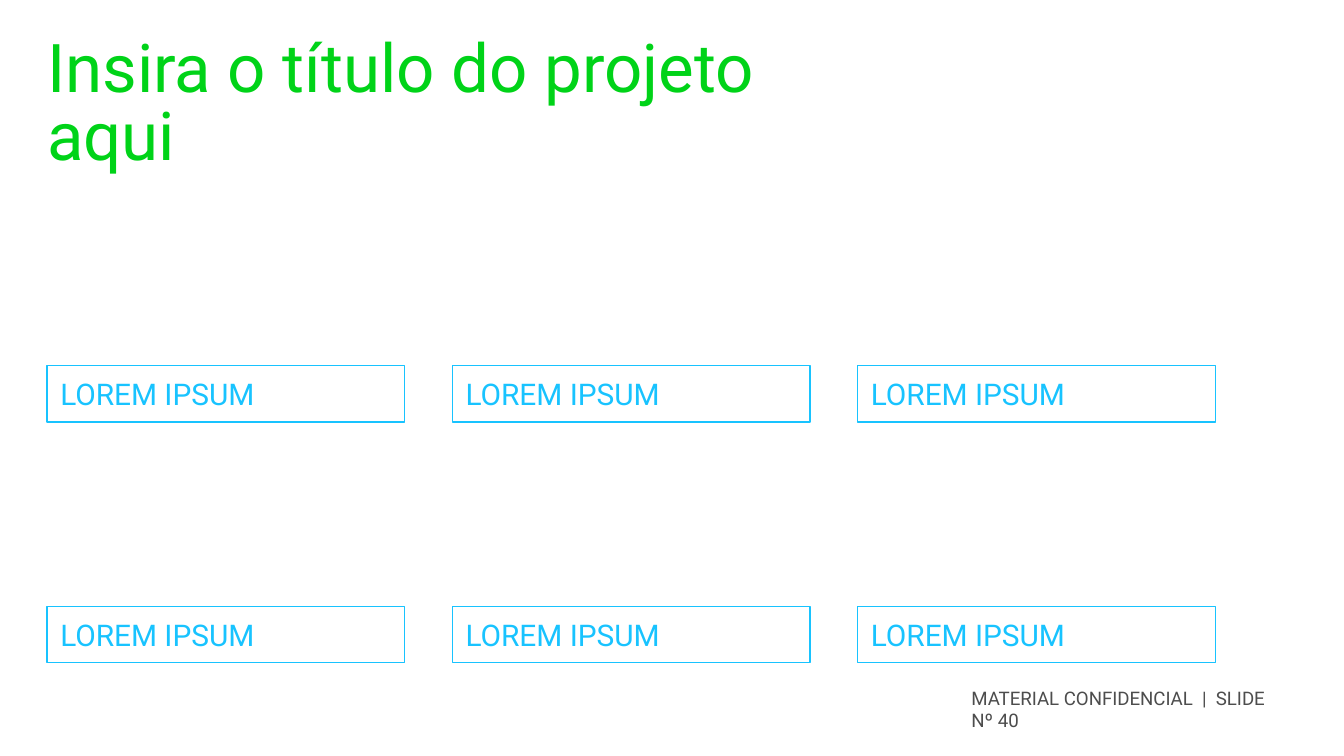
from pptx import Presentation
from pptx.dml.color import RGBColor
from pptx.enum import shapes, text
from pptx.util import Cm, Pt

GREEN = RGBColor(0x00, 0xD3, 0x18)
BLUE = RGBColor(0x18, 0xC3, 0xFF)
GREY = RGBColor(0x4D, 0x4D, 0x4D)
FONT = "Roboto"
LEFT = 0.89


def write_text(shape, content, size, color, anchor, side_margin=0):
    frame = shape.text_frame
    frame.text = content
    frame.word_wrap = True
    frame.auto_size = text.MSO_AUTO_SIZE.NONE
    frame.vertical_anchor = anchor
    frame.margin_left = frame.margin_right = Cm(side_margin)
    frame.margin_top = frame.margin_bottom = Cm(0)
    paragraph = frame.paragraphs[0]
    paragraph.alignment = text.PP_ALIGN.LEFT
    font = paragraph.runs[0].font
    font.name = FONT
    font.size = Pt(size)
    font.color.rgb = color
    return paragraph


presentation = Presentation()
presentation.slide_width = Cm(25.4)
presentation.slide_height = Cm(14.29)
slide = presentation.slides.add_slide(presentation.slide_layouts[5])

# Footer
footer = slide.shapes.add_textbox(Cm(18.36), Cm(12.98), Cm(5.92), Cm(0.76))
write_text(footer, "MATERIAL CONFIDENCIAL  |  SLIDE Nº 40", 10, GREY, text.MSO_ANCHOR.TOP)

# Title
title = slide.shapes.title
title.left, title.top, title.width, title.height = Cm(LEFT), Cm(0.74), Cm(14.4), Cm(2.34)
paragraph = write_text(title, "Insira o título do projeto aqui", 36, GREEN, text.MSO_ANCHOR.TOP)
paragraph.line_spacing = Pt(36)

# Grid of outlined labels: two rows of three
for top in (6.91, 11.46):
    for column in range(3):
        label = slide.shapes.add_shape(
            shapes.MSO_SHAPE.RECTANGLE,
            Cm(LEFT + column * 7.66), Cm(top), Cm(6.76), Cm(1.07))
        label.shadow.inherit = False
        label.fill.background()
        label.line.color.rgb = BLUE
        label.line.width = Pt(0.75)
        write_text(label, "LOREM IPSUM", 16, BLUE, text.MSO_ANCHOR.MIDDLE, 0.25)

presentation.save("out.pptx")
